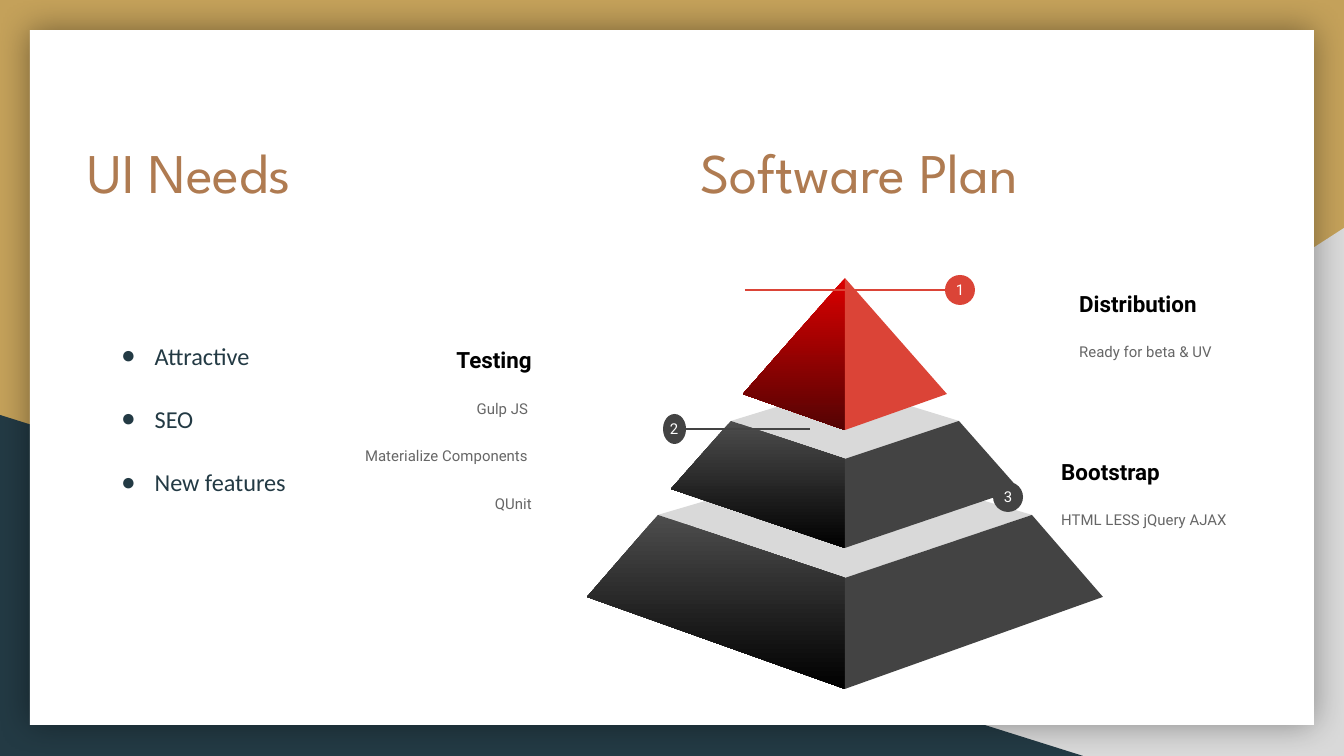
from dataclasses import dataclass

from lxml.etree import SubElement
from pptx import Presentation
from pptx.dml.color import RGBColor
from pptx.enum.shapes import MSO_CONNECTOR, MSO_SHAPE
from pptx.enum.text import MSO_ANCHOR, MSO_AUTO_SIZE, PP_ALIGN
from pptx.oxml.ns import qn
from pptx.util import Emu, Inches, Pt

WIDTH, HEIGHT = 1344, 756
SCALE = Inches(10) / WIDTH
CENTER = 845


@dataclass(frozen=True)
class Theme:
    gold: str = "C4A15A"
    navy: str = "233A44"
    light: str = "D9D9D9"
    white: str = "FFFFFF"
    black: str = "000000"
    bronze: str = "AF7B51"
    dark: str = "434343"
    muted: str = "666666"
    red: str = "DB4437"
    dark_shade: tuple = ("4D4D4D", "000000")
    red_shade: tuple = ("DB0000", "540303")
    title_font: str = "League Spartan"
    list_font: str = "Calibri"
    label_font: str = "Roboto"
    title_size: int = 30
    list_size: int = 13
    heading_size: int = 12
    small_size: int = 8


THEME = Theme()


def px(length):
    return Emu(round(length * SCALE))


def rgb(color):
    return RGBColor.from_string(color)


def paint(shape, color):
    """Fill with one colour, or with a pair running from top to bottom."""
    shape.shadow.inherit = False
    shape.line.fill.background()
    if isinstance(color, str):
        shape.fill.solid()
        shape.fill.fore_color.rgb = rgb(color)
        return
    shape.fill.gradient()
    shape.fill.gradient_angle = 270
    for stop, shade, position in zip(shape.fill.gradient_stops, color, (0, 1)):
        stop.color.rgb = rgb(shade)
        stop.position = position


def add_preset(page, kind, frame, color):
    shape = page.shapes.add_shape(kind, *map(px, frame))
    paint(shape, color)
    return shape


def add_polygon(page, points, color):
    builder = page.shapes.build_freeform(*points[0], scale=SCALE)
    builder.add_line_segments(points[1:], close=True)
    paint(builder.convert_to_shape(), color)


def add_line(page, start, end, color):
    line = page.shapes.add_connector(
        MSO_CONNECTOR.STRAIGHT, *map(px, (*start, *end)))
    line.line.color.rgb = rgb(color)
    line.line.width = Pt(0.75)
    SubElement(line.element.spPr, qn("a:effectLst"))


def set_frame(frame, anchor):
    frame.word_wrap = True
    frame.auto_size = MSO_AUTO_SIZE.NONE
    frame.vertical_anchor = anchor
    frame.margin_left = frame.margin_right = Inches(0.1)
    frame.margin_top = frame.margin_bottom = Inches(0.1)


def style(para, font, size, color, align=PP_ALIGN.LEFT, after=0, bold=False):
    para.alignment = align
    para.space_before = Pt(0)
    para.space_after = Pt(after)
    para.font.name = font
    para.font.size = Pt(size)
    para.font.bold = bold
    para.font.color.rgb = rgb(color)


def add_bullet(para, color):
    properties = para._p.get_or_add_pPr()
    properties.set("marL", str(Inches(0.5)))
    properties.set("indent", str(Inches(-0.25)))
    bullet_color = SubElement(properties, qn("a:buClr"))
    SubElement(bullet_color, qn("a:srgbClr"), val=color)
    SubElement(properties, qn("a:buChar"), char="●")


def place(holder, frame, lines):
    """Move a placeholder in front of the backdrop and write its lines."""
    holder.left, holder.top, holder.width, holder.height = map(px, frame)
    holder.element.getparent().append(holder.element)
    set_frame(holder.text_frame, MSO_ANCHOR.TOP)
    holder.text_frame.text = "\n".join(lines)
    return holder.text_frame.paragraphs


def add_title(holder, frame, text):
    for para in place(holder, frame, [text]):
        style(para, THEME.title_font, THEME.title_size, THEME.bronze)


def add_list(holder, frame, items):
    for para in place(holder, frame, items):
        add_bullet(para, THEME.navy)
        style(para, THEME.list_font, THEME.list_size, THEME.navy, after=16)
        para.line_spacing = 1.15


def add_text(page, frame, lines, anchor):
    box = page.shapes.add_textbox(*map(px, frame))
    set_frame(box.text_frame, anchor)
    box.text_frame.text = "\n".join(lines)
    return box.text_frame.paragraphs


def add_label(page, frame, lines, align=PP_ALIGN.LEFT):
    heading, *details = add_text(page, frame, lines, MSO_ANCHOR.MIDDLE)
    style(heading, THEME.label_font, THEME.heading_size, THEME.black,
          align, after=14, bold=True)
    for para in details:
        style(para, THEME.label_font, THEME.small_size, THEME.muted,
              align, after=16)


def add_marker(page, number, dot, color):
    left, top, width, height = dot
    add_preset(page, MSO_SHAPE.OVAL, dot, color)
    frame = (left + width // 2 - 18, top - 8, 36, 46)
    for para in add_text(page, frame, [number], MSO_ANCHOR.TOP):
        style(para, THEME.label_font, THEME.small_size, THEME.white,
              PP_ALIGN.CENTER)


def add_backdrop(page):
    page.background.fill.solid()
    page.background.fill.fore_color.rgb = rgb(THEME.gold)
    corner = add_preset(page, MSO_SHAPE.RIGHT_TRIANGLE,
                        (527, 228, 817, 528), THEME.light)
    corner.element.spPr.get_or_add_xfrm().set("flipH", "1")
    add_preset(page, MSO_SHAPE.RIGHT_TRIANGLE, (0, 415, 1083, 341), THEME.navy)
    panel = add_preset(page, MSO_SHAPE.RECTANGLE,
                       (30, 30, 1284, 695), THEME.white)
    effects = panel.element.spPr.find(qn("a:effectLst"))
    shadow = SubElement(effects, qn("a:outerShdw"),
                        blurRad=str(Pt(18)), dist="0", algn="ctr")
    shade = SubElement(shadow, qn("a:srgbClr"), val=THEME.black)
    SubElement(shade, qn("a:alpha"), val="40000")


def add_tier(page, rim, front, side, bottom, back, shade, color):
    """Draw a lid, where the tier has one, and two mirrored faces."""
    (rim_half, rim_y), (side_half, side_y) = rim, side
    if back is not None:
        add_polygon(page, [(CENTER - rim_half, rim_y), (CENTER, front),
                           (CENTER + rim_half, rim_y), (CENTER, back)],
                    THEME.light)
    for sign, fill in ((-1, shade), (1, color)):
        add_polygon(page, [(CENTER, front), (CENTER + sign * rim_half, rim_y),
                           (CENTER + sign * side_half, side_y),
                           (CENTER, bottom)], fill)


def add_pyramid(page):
    dark = (THEME.dark_shade, THEME.dark)
    add_tier(page, (187, 515), 578, (258, 597), 689, 460, *dark)
    add_tier(page, (114, 421), 459, (174, 489), 548, 386, *dark)
    add_tier(page, (0, 278), 278, (102, 394), 430, None,
             THEME.red_shade, THEME.red)


def main():
    deck = Presentation()
    deck.slide_width, deck.slide_height = px(WIDTH), px(HEIGHT)
    page = deck.slides.add_slide(deck.slide_layouts.get_by_name("Comparison"))
    holders = {h.placeholder_format.idx: h for h in page.placeholders}
    for unused in (2, 4):
        element = holders[unused].element
        element.getparent().remove(element)

    add_backdrop(page)
    add_title(holders[0], (74, 124, 320, 203), "UI Needs")
    add_title(holders[3], (687, 124, 546, 203), "Software Plan")
    add_list(holders[1], (74, 323, 269, 312),
             ["Attractive", "SEO", "New features"])
    add_pyramid(page)

    add_label(page, (286, 328, 259, 203),
              ["Testing", "Gulp JS ", "Materialize Components ", "QUnit"],
              PP_ALIGN.RIGHT)
    add_line(page, (810, 429), (671, 429), THEME.dark)
    add_marker(page, "2", (663, 414, 23, 30), THEME.dark)

    add_line(page, (745, 290), (973, 290), THEME.red)
    add_label(page, (1066, 224, 274, 203),
              ["Distribution", "Ready for beta & UV"])
    add_marker(page, "1", (945, 275, 30, 30), THEME.red)

    add_line(page, (962, 497), (1023, 497), THEME.dark)
    add_label(page, (1048, 392, 251, 203),
              ["Bootstrap", "HTML LESS jQuery AJAX"])
    add_marker(page, "3", (993, 482, 30, 30), THEME.dark)
    deck.save("out.pptx")


if __name__ == "__main__":
    main()
